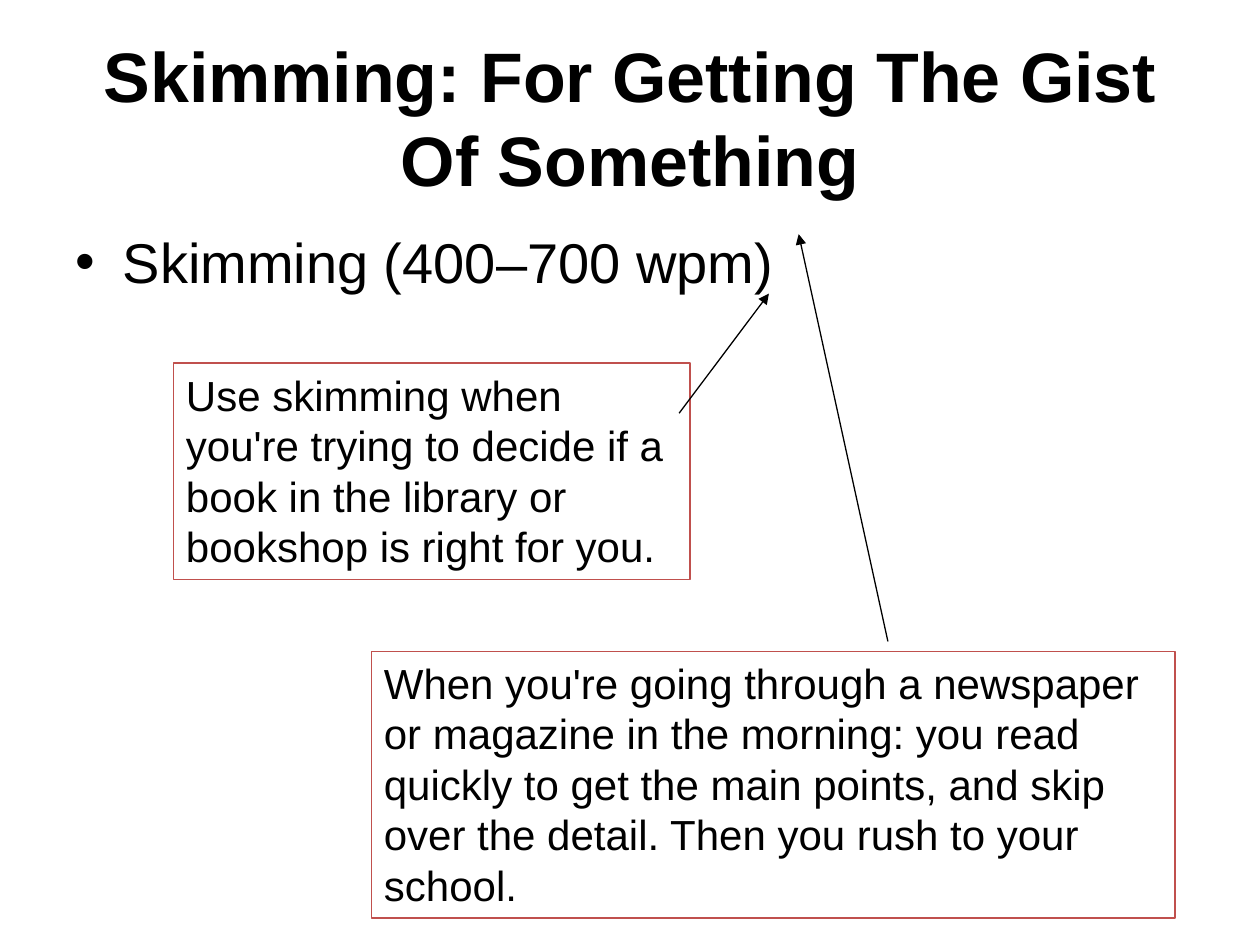
from dataclasses import dataclass

import pptx
import pptx.dml.color
import pptx.enum.shapes
import pptx.enum.text
import pptx.oxml
import pptx.oxml.ns
import pptx.util
from pptx.util import Cm

FONT = "Arial"
BLACK = "000000"
RED = "C0504D"


@dataclass
class Example:
    """A boxed example with an arrow to the heading; lengths in cm."""
    text: str
    box: tuple[float, float, float, float]
    arrow_start: tuple[float, float]
    arrow_end: tuple[float, float]


EXAMPLES = [
    Example("When you're going through a newspaper or magazine in the morning: "
            "you read quickly to get the main points, and skip over the detail. "
            "Then you rush to your school.",
            (7.49, 13.13, 16.2, 5.38), (17.9, 12.93), (16.1, 4.72)),
    Example("Use skimming when you're trying to decide if a book in the library "
            "or bookshop is right for you.",
            (3.5, 7.32, 10.41, 4.37), (13.69, 8.33), (15.5, 5.92)),
]


def color(value: str) -> pptx.dml.color.RGBColor:
    return pptx.dml.color.RGBColor.from_string(value)


def add_xml(parent, tag: str, **attributes: str):
    child = pptx.oxml.parse_xml(f"<{tag} {pptx.oxml.ns.nsdecls('a')}/>")
    for name, value in attributes.items():
        child.set(name, value)
    parent.append(child)
    return child


def place(shape, left: float, top: float, width: float, height: float) -> None:
    shape.left, shape.top = Cm(left), Cm(top)
    shape.width, shape.height = Cm(width), Cm(height)


def write(shape, text: str, size: int, bold: bool = False):
    frame = shape.text_frame
    frame.text = text
    frame.word_wrap = True
    paragraph = frame.paragraphs[0]
    paragraph.space_before = pptx.util.Pt(0)
    paragraph.font.name = FONT
    paragraph.font.size = pptx.util.Pt(size)
    paragraph.font.bold = bold
    paragraph.font.color.rgb = color(BLACK)
    return paragraph


def add_box(slide, example: Example) -> None:
    box = slide.shapes.add_shape(
        pptx.enum.shapes.MSO_SHAPE.RECTANGLE, *map(Cm, example.box))
    box.shadow.inherit = False
    box.fill.background()
    box.line.color.rgb = color(RED)
    box.line.width = pptx.util.Pt(0.75)
    paragraph = write(box, example.text, 24)
    paragraph.alignment = pptx.enum.text.PP_ALIGN.LEFT
    box.text_frame.vertical_anchor = pptx.enum.text.MSO_ANCHOR.TOP
    box.text_frame.auto_size = pptx.enum.text.MSO_AUTO_SIZE.SHAPE_TO_FIT_TEXT


def add_arrow(slide, example: Example) -> None:
    arrow = slide.shapes.add_connector(
        pptx.enum.shapes.MSO_CONNECTOR.STRAIGHT,
        *map(Cm, example.arrow_start + example.arrow_end))
    arrow.line.color.rgb = color(BLACK)
    arrow.line.width = pptx.util.Pt(0.75)
    add_xml(arrow.line._get_or_add_ln(), "a:tailEnd", type="triangle")
    add_xml(arrow._element.spPr, "a:effectLst")


def main() -> None:
    presentation = pptx.Presentation()
    presentation.slide_width, presentation.slide_height = Cm(25.4), Cm(19.05)
    slide = presentation.slides.add_slide(presentation.slide_layouts[1])

    # Title
    title = slide.shapes.title
    place(title, 1.27, 0.76, 22.86, 3.18)
    heading = write(title, "Skimming: For Getting The Gist Of Something", 40, bold=True)
    heading.alignment = pptx.enum.text.PP_ALIGN.CENTER
    title.text_frame.vertical_anchor = pptx.enum.text.MSO_ANCHOR.MIDDLE

    # Reading speed
    speed = slide.placeholders[1]
    place(speed, 1.27, 4.45, 22.86, 12.57)
    bullet = write(speed, "Skimming (400–700 wpm)", 32)
    properties = bullet._p.get_or_add_pPr()
    properties.set("marL", str(Cm(0.95)))
    properties.set("indent", str(Cm(-0.95)))
    add_xml(properties, "a:buChar", char="•")

    # Examples with their arrows
    for example in EXAMPLES:
        add_box(slide, example)
        add_arrow(slide, example)

    presentation.save("out.pptx")


if __name__ == "__main__":
    main()
